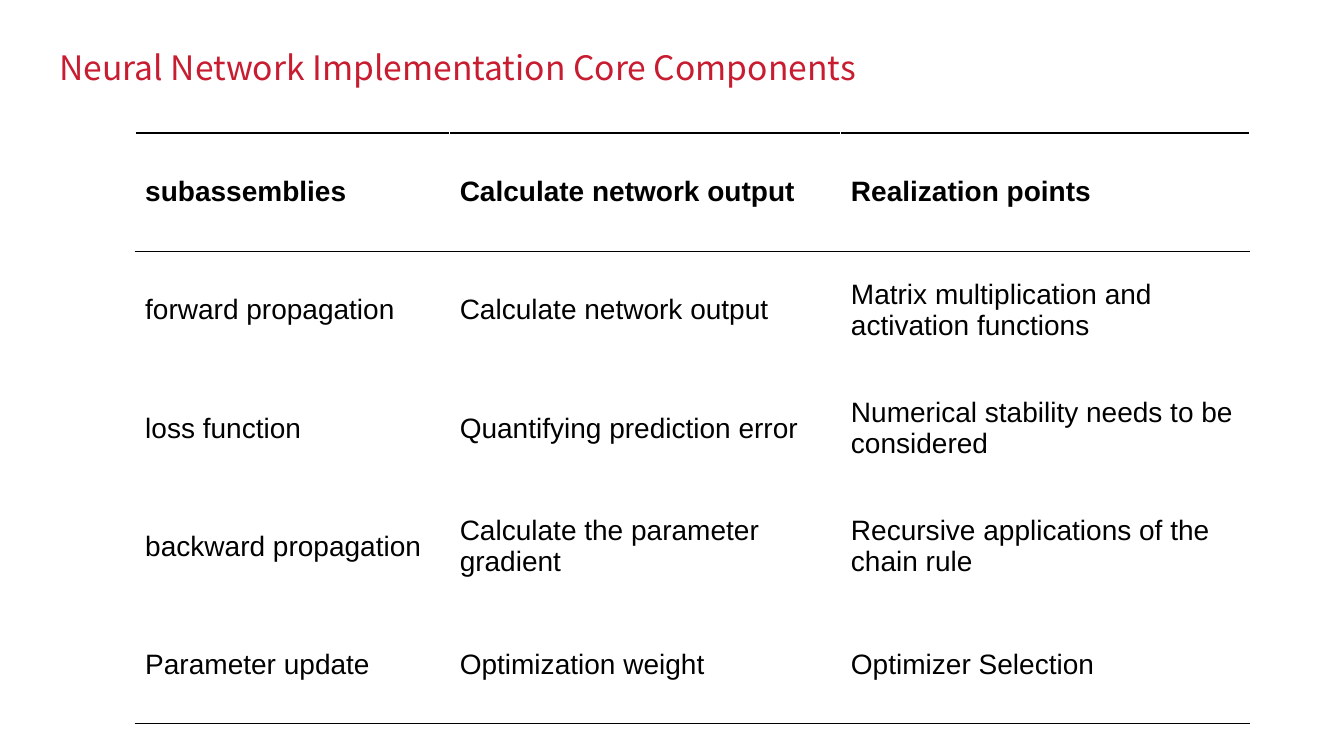
import pptx
import pptx.util
import pptx.dml.color
import pptx.enum.text
import pptx.oxml
import pptx.oxml.ns

Inches, Pt = pptx.util.Inches, pptx.util.Pt
MIDDLE = pptx.enum.text.MSO_ANCHOR.MIDDLE

COLORS = {"title": "C81D31", "text": "000000", "rule": "000000", "blank": "FFFFFF"}
TITLE_FONT = {"name": "Noto Sans CJK SC", "size": Pt(24), "bold": False}
CELL_FONT = {"name": "Arial", "size": Pt(20), "bold": False}
HEADER_FONT = {**CELL_FONT, "bold": True}

COL_WIDTHS = [3.12, 3.88, 4.05]
ROWS = [
    ["subassemblies", "Calculate network output", "Realization points"],
    ["forward propagation", "Calculate network output",
     "Matrix multiplication and activation functions"],
    ["loss function", "Quantifying prediction error",
     "Numerical stability needs to be considered"],
    ["backward propagation", "Calculate the parameter gradient",
     "Recursive applications of the chain rule"],
    ["Parameter update", "Optimization weight", "Optimizer Selection"],
]


def write(tf, text, font, color):
    p = tf.paragraphs[0]
    p.alignment = pptx.enum.text.PP_ALIGN.LEFT
    r = p.add_run()
    r.text = text
    for name, value in font.items():
        setattr(r.font, name, value)
    r.font.color.rgb = pptx.dml.color.RGBColor.from_string(COLORS[color])


def set_borders(cell, top, bottom):
    tcPr = cell._tc.get_or_add_tcPr()
    sides = {"L": "blank", "R": "blank", "T": top, "B": bottom}
    # Borders precede the fill in the cell properties
    for i, (side, color) in enumerate(sides.items()):
        tcPr.insert(i, pptx.oxml.parse_xml(
            f'<a:ln{side} {pptx.oxml.ns.nsdecls("a")} w="{Pt(1)}">'
            f'<a:solidFill><a:srgbClr val="{COLORS[color]}"/></a:solidFill>'
            f'</a:ln{side}>'))


def add_title(s, text, left, top, width, height):
    sp = s.shapes.title
    box = {"left": left, "top": top, "width": width, "height": height}
    for name, value in box.items():
        setattr(sp, name, Inches(value))
    tf = sp.text_frame
    tf.word_wrap = True
    tf.auto_size = pptx.enum.text.MSO_AUTO_SIZE.NONE
    tf.vertical_anchor = MIDDLE
    write(tf, text, TITLE_FONT, "title")


def add_components_table(s, left, top, width, height):
    last = len(ROWS) - 1
    table = s.shapes.add_table(
        len(ROWS), len(COL_WIDTHS),
        Inches(left), Inches(top), Inches(width), Inches(height)).table
    table.horz_banding = False
    table.first_row = False
    for col, col_width in zip(table.columns, COL_WIDTHS):
        col.width = Inches(col_width)

    for i, row in enumerate(ROWS):
        table.rows[i].height = Inches(height / len(ROWS))
        for j, text in enumerate(row):
            cell = table.cell(i, j)
            cell.vertical_anchor = MIDDLE
            cell.fill.background()
            # Rules run above and below the header and under the last row
            set_borders(cell, "rule" if i in (0, 1) else "blank",
                        "rule" if i in (0, last) else "blank")
            write(cell.text_frame, text, CELL_FONT if i else HEADER_FONT, "text")


def main():
    prs = pptx.Presentation()
    prs.slide_width, prs.slide_height = Inches(13.33), Inches(7.5)
    s = prs.slides.add_slide(prs.slide_layouts[5])
    add_title(s, "Neural Network Implementation Core Components", 0.49, 0.4, 11.37, 0.53)
    add_components_table(s, 1.34, 1.32, sum(COL_WIDTHS), 5.86)
    prs.save("out.pptx")


if __name__ == "__main__":
    main()
